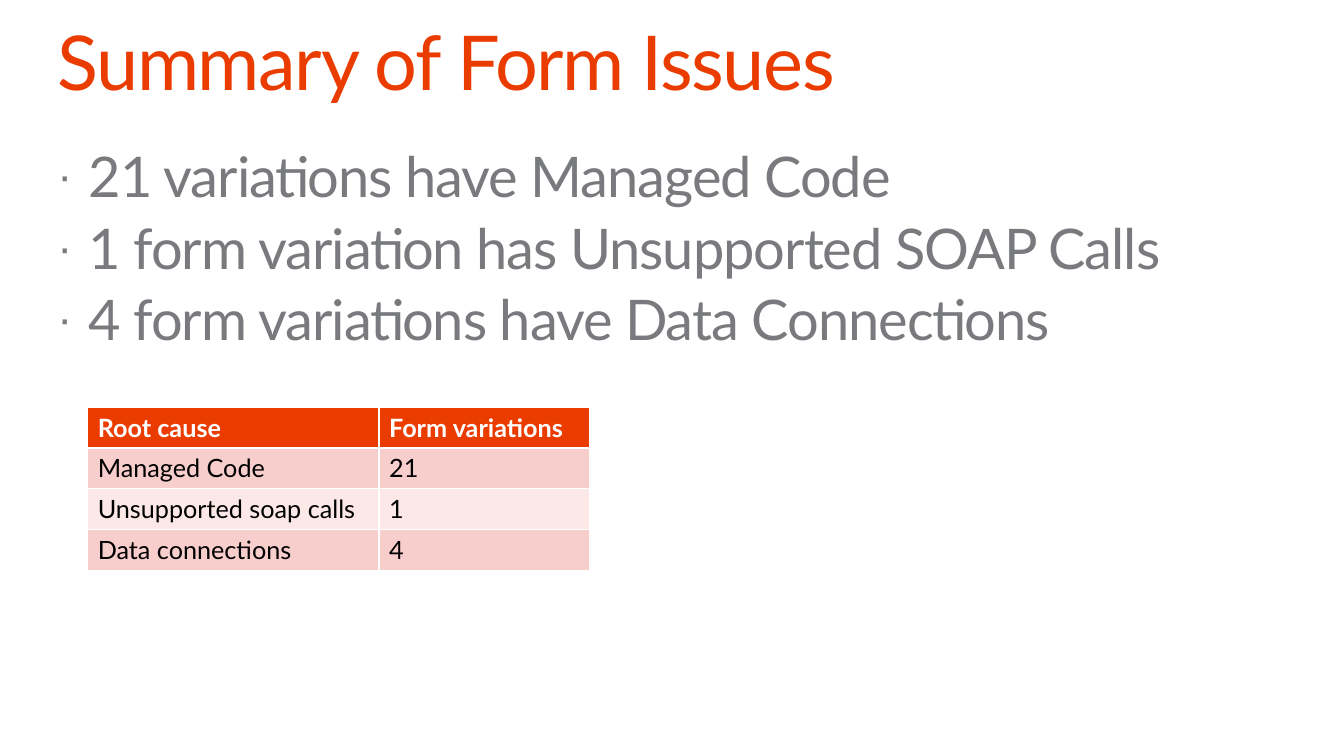
import pptx
import pptx.util
import pptx.dml.color
import pptx.enum.text
import pptx.oxml
import pptx.oxml.ns

Inches, Pt = pptx.util.Inches, pptx.util.Pt
FONT = "Lato"
COLORS = {
    "accent": "EB3C00",
    "body": "797A7D",
    "white": "FFFFFF",
    "black": "000000",
    "odd": "F7CECC",
    "even": "FBE8E7",
}
ISSUES = [
    "21 variations have Managed Code",
    "1 form variation has Unsupported SOAP Calls",
    "4 form variations have Data Connections",
]
CAUSES = [
    ("Root cause", "Form variations"),
    ("Managed Code", "21"),
    ("Unsupported soap calls", "1"),
    ("Data connections", "4"),
]


def color(name):
    return pptx.dml.color.RGBColor.from_string(COLORS[name])


def style(para, size, tint, bold=False, track=0):
    """Format a paragraph; track is letter spacing in hundredths of a point."""
    font = para.font
    font.name, font.size, font.bold = FONT, Pt(size), bold
    font.color.rgb = color(tint)
    if track:
        for run in para.runs:
            run._r.get_or_add_rPr().set("spc", str(track))


def place(shape, box):
    shape.left, shape.top, shape.width, shape.height = map(Inches, box)


def frame(shape, box, anchor):
    place(shape, box)
    text = shape.text_frame
    text.margin_left = text.margin_top = text.margin_right = text.margin_bottom = 0
    text.word_wrap = True
    text.auto_size = pptx.enum.text.MSO_AUTO_SIZE.NONE
    text.vertical_anchor = anchor
    return text


def bullet(para, indent):
    props = para._p.get_or_add_pPr()
    props.set("marL", str(Inches(indent)))
    props.set("indent", str(-Inches(indent)))
    space = pptx.oxml.ns.nsdecls("a")
    for tag in ('buSzPct {} val="80000"', 'buFont {} typeface="Arial"', 'buChar {} char="·"'):
        props.append(pptx.oxml.parse_xml(f"<a:{tag.format(space)}/>"))


# Title
def title(slide, box):
    text = frame(slide.shapes.title, box, pptx.enum.text.MSO_ANCHOR.TOP)
    text.text = "Summary of Form Issues"
    para = text.paragraphs[0]
    para.alignment = pptx.enum.text.PP_ALIGN.LEFT
    para.line_spacing = 0.9
    style(para, 54, "accent", track=-100)


# Bulleted list
def points(slide, box):
    text = frame(slide.placeholders[1], box, pptx.enum.text.MSO_ANCHOR.TOP)
    text.text = "\n".join(ISSUES)
    for para in text.paragraphs:
        para.line_spacing = 0.9
        para.space_before = Pt(8)
        bullet(para, 0.31)
        style(para, 40, "body", track=-70)


# Table of causes; its built-in style supplies the white rules
def causes(slide, box, widths):
    grid = slide.shapes.add_table(len(CAUSES), len(widths), *map(Inches, box)).table
    for col, width in zip(grid.columns, widths):
        col.width = Inches(width)
    for r, row in enumerate(CAUSES):
        head = r == 0
        fill = "accent" if head else "odd" if r % 2 else "even"
        for c, word in enumerate(row):
            cell = grid.cell(r, c)
            cell.text = word
            cell.fill.solid()
            cell.fill.fore_color.rgb = color(fill)
            style(cell.text_frame.paragraphs[0], 18, "white" if head else "black", bold=head)


def main():
    deck = pptx.Presentation()
    deck.slide_width, deck.slide_height = Inches(13.33), Inches(7.5)
    slide = deck.slides.add_slide(deck.slide_layouts[1])
    title(slide, (0.57, 0.25, 12.19, 0.82))
    points(slide, (0.57, 1.48, 12.53, 2.22))
    causes(slide, (0.87, 4.04, 4.98, 1.62), (2.89, 2.09))
    deck.save("out.pptx")


if __name__ == "__main__":
    main()
